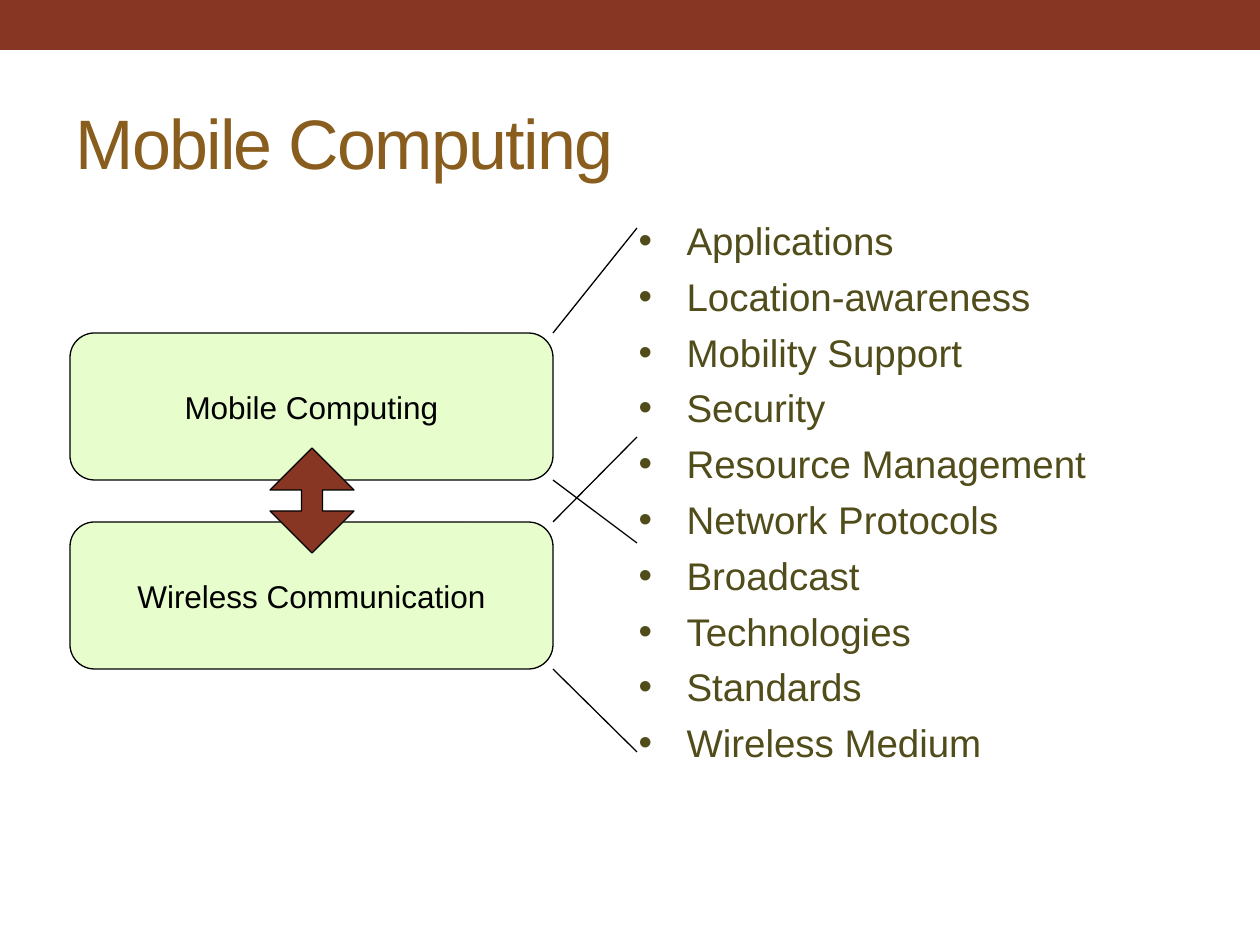
from dataclasses import dataclass
from typing import Any

import pptx
import pptx.dml.color
import pptx.enum.shapes
import pptx.enum.text
import pptx.oxml.ns
import pptx.util
from lxml import etree

EMU_PER_PX = 914400 / 126
COLOURS = {
    "accent": "873624",
    "title": "895D1D",
    "list": "514D1B",
    "layer": "E7FDCC",
    "ink": "000000",
}
TOPICS = [
    "Applications", "Location-awareness", "Mobility Support", "Security",
    "Resource Management", "Network Protocols", "Broadcast", "Technologies",
    "Standards", "Wireless Medium",
]
SHAPES = pptx.enum.shapes.MSO_SHAPE
ALIGN = pptx.enum.text.PP_ALIGN
ANCHOR = pptx.enum.text.MSO_ANCHOR


@dataclass
class Layer:
    """A rounded box with the span of topics it opens out to."""
    label: str
    top: int
    span_top: int
    span_bottom: int


LAYER_LEFT, LAYER_WIDTH, LAYER_HEIGHT = 70, 483, 147
SPAN_LEFT = 637
LAYERS = [
    Layer("Wireless Communication", 522, 437, 752),
    Layer("Mobile Computing", 333, 228, 543),
]


def px(length: int) -> pptx.util.Emu:
    return pptx.util.Emu(round(length * EMU_PER_PX))


def colour(name: str) -> pptx.dml.color.RGBColor:
    return pptx.dml.color.RGBColor.from_string(COLOURS[name])


def apply(target: Any, values: dict[str, Any]) -> None:
    for name, value in values.items():
        setattr(target, name, value)


def place(box: Any, left: int, top: int, width: int, height: int) -> None:
    apply(box, {"left": px(left), "top": px(top),
                "width": px(width), "height": px(height)})


def style_font(font: Any, size: int, colour_name: str) -> None:
    apply(font, {"name": "Arial", "size": pptx.util.Pt(size)})
    font.color.rgb = colour(colour_name)


def style_line(line: Any) -> None:
    line.color.rgb = colour("ink")
    line.width = pptx.util.Pt(0.75)


def add_block(page: Any, kind: Any, left: int, top: int, width: int,
              height: int, fill: str, outlined: bool = True) -> Any:
    box = page.shapes.add_shape(kind, px(left), px(top), px(width), px(height))
    box.shadow.inherit = False
    box.fill.solid()
    box.fill.fore_color.rgb = colour(fill)
    if outlined:
        style_line(box.line)
    else:
        box.line.fill.background()
    return box


def add_line(page: Any, left: int, top: int, right: int, bottom: int) -> None:
    line = page.shapes.add_connector(
        pptx.enum.shapes.MSO_CONNECTOR.STRAIGHT,
        px(left), px(top), px(right), px(bottom))
    style_line(line.line)
    etree.SubElement(line._element.spPr, pptx.oxml.ns.qn("a:effectLst"))


def add_layer(page: Any, layer: Layer) -> None:
    box = add_block(page, SHAPES.ROUNDED_RECTANGLE, LAYER_LEFT, layer.top,
                    LAYER_WIDTH, LAYER_HEIGHT, "layer")
    apply(box.text_frame, {"word_wrap": False,
                           "vertical_anchor": ANCHOR.MIDDLE})
    para = box.text_frame.paragraphs[0]
    para.alignment = ALIGN.CENTER
    span = para.add_run()
    span.text = layer.label
    style_font(span.font, 18, "ink")


def add_span_lines(page: Any, layer: Layer) -> None:
    right = LAYER_LEFT + LAYER_WIDTH
    add_line(page, right, layer.top, SPAN_LEFT, layer.span_top)
    add_line(page, right, layer.top + LAYER_HEIGHT, SPAN_LEFT,
             layer.span_bottom)


def fill_title(box: Any, text: str) -> None:
    place(box, 63, 73, 1134, 136)
    apply(box.text_frame, {"vertical_anchor": ANCHOR.MIDDLE,
                           "auto_size": pptx.enum.text.MSO_AUTO_SIZE.NONE})
    para = box.text_frame.paragraphs[0]
    para.alignment = ALIGN.LEFT
    span = para.add_run()
    span.text = text
    style_font(span.font, 40, "title")
    span._r.get_or_add_rPr().set("spc", "-100")


def fill_topics(box: Any, topics: list[str]) -> None:
    place(box, 626, 207, 541, 588)
    frame = box.text_frame
    apply(frame, {"word_wrap": True, "vertical_anchor": ANCHOR.TOP,
                  "margin_top": px(10),
                  "auto_size": pptx.enum.text.MSO_AUTO_SIZE.NONE})
    for index, topic in enumerate(topics):
        para = frame.add_paragraph() if index else frame.paragraphs[0]
        para.alignment = ALIGN.LEFT
        para.space_before = pptx.util.Pt(5.5 if index else 0)
        properties = para._p.get_or_add_pPr()
        properties.set("marL", str(px(48)))
        properties.set("indent", str(-px(48)))
        etree.SubElement(properties, pptx.oxml.ns.qn("a:buFont"),
                         typeface="Arial")
        etree.SubElement(properties, pptx.oxml.ns.qn("a:buChar"), char="•")
        span = para.add_run()
        span.text = topic
        style_font(span.font, 22, "list")


def main() -> None:
    deck = pptx.Presentation()
    apply(deck, {"slide_width": px(1260), "slide_height": px(945)})
    page = deck.slides.add_slide(deck.slide_layouts[1])

    # Title, topic list and top band
    fill_title(page.shapes.title, "Mobile Computing")
    fill_topics(page.placeholders[1], TOPICS)
    add_block(page, SHAPES.RECTANGLE, 0, 0, 1260, 50, "accent", outlined=False)

    # Layers and the arrow between them
    for layer in LAYERS:
        add_layer(page, layer)
    add_block(page, SHAPES.UP_DOWN_ARROW, 270, 448, 84, 105, "accent"
              ).adjustments[1] = 0.25

    # Lines from each layer to its topics
    for layer in LAYERS:
        add_span_lines(page, layer)

    deck.save("out.pptx")


if __name__ == "__main__":
    main()
